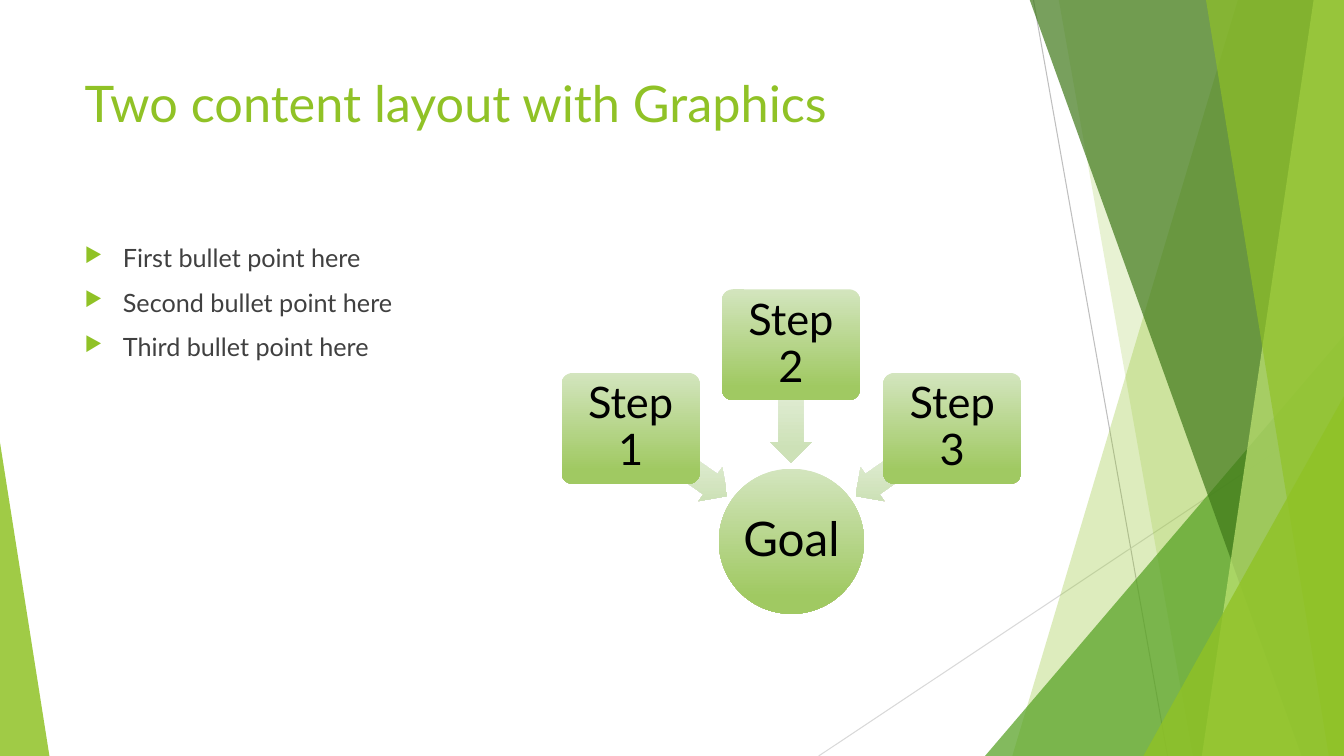
import math
from dataclasses import dataclass

import pptx
import pptx.dml.color
import pptx.enum.shapes
import pptx.enum.text
import pptx.oxml.ns
import pptx.util

PX = 9144  # EMU per px, 100 px to the inch
WIDTH, HEIGHT = 1333, 750
BAND_TOP = -1
LIME, BODY_GREY, BLACK = "90C226", "404040", "000000"
FONT = "Lato"
SHAPES = pptx.enum.shapes.MSO_SHAPE
ALIGN = pptx.enum.text.PP_ALIGN
ANCHOR = pptx.enum.text.MSO_ANCHOR


@dataclass
class Box:
    left: int
    top: int
    width: int
    height: int

    def emu(self) -> list[int]:
        return [v * PX for v in (self.left, self.top, self.width, self.height)]


@dataclass
class Hairline:
    start: tuple[int, int]
    end: tuple[int, int]
    color: str


@dataclass
class Band:
    """Sloping left edge, reaching to the right edge of the slide."""
    top_x: int
    bottom_x: int
    color: str
    opacity: int


@dataclass
class Wedge:
    """Right triangle standing on the bottom of the slide."""
    box: Box
    apex: int
    color: str
    opacity: int


@dataclass
class Step:
    label: str
    angle: int  # clockwise from the right of the goal


HAIRLINES = [
    Hairline((1025, 0), (1158, 750), "BFBFBF"),
    Hairline((1333, 403), (812, 750), "D9D9D9"),
]
FACETS = [
    Band(1228, 1004, LIME, 30),
    Band(1050, 1183, LIME, 20),
    Wedge(Box(977, 333, 356, 417), 1, "54A021", 72),
    Band(1021, 1291, "3F7819", 70),
    Band(1303, 1192, "C0E474", 70),
    Band(1196, 1318, LIME, 65),
    Wedge(Box(1134, 393, 199, 357), 1, LIME, 80),
    Wedge(Box(0, 439, 49, 311), 0, LIME, 85),
]
BULLETS = ["First bullet point here", "Second bullet point here", "Third bullet point here"]
STEPS = [Step("Step 1", 215), Step("Step 2", 270), Step("Step 3", 325)]
GOAL_BOX = Box(713, 465, 144, 144)
CARD_SIZE, CARD_RADIUS = (137, 110), 195
ARROW_SIZE, ARROW_RADIUS = (117, 41), 136
NODE_COLORS, ARROW_COLORS = ("D3E5BE", "A0C962"), ("F2F7ED", "CDE1B7")


def rgb(color: str) -> pptx.dml.color.RGBColor:
    return pptx.dml.color.RGBColor.from_string(color)


def apply(target, **formats) -> None:
    for name, value in formats.items():
        setattr(target, name, value)


def append_xml(parent, tag: str, **attributes: str):
    child = parent.makeelement(pptx.oxml.ns.qn(tag), attributes)
    parent.append(child)
    return child


def set_frame(frame, anchor, inset_x: int, inset_y: int) -> None:
    apply(frame, word_wrap=True, vertical_anchor=anchor,
          margin_left=inset_x * PX, margin_right=inset_x * PX,
          margin_top=inset_y * PX, margin_bottom=inset_y * PX)


def write(paragraph, text: str, size: int, color: str, **formats) -> None:
    apply(paragraph, **formats)
    run = paragraph.add_run()
    run.text = text
    apply(run.font, size=pptx.util.Pt(size), name=FONT)
    run.font.color.rgb = rgb(color)


def draw_hairline(slide, hairline: Hairline) -> None:
    ends = [v * PX for v in hairline.start + hairline.end]
    line = slide.shapes.add_connector(pptx.enum.shapes.MSO_CONNECTOR.STRAIGHT, *ends)
    line.line.width = pptx.util.Pt(0.75)
    line.line.color.rgb = rgb(hairline.color)
    append_xml(line.element.spPr, "a:effectLst")


def draw_facet(slide, facet: Band | Wedge) -> None:
    if isinstance(facet, Band):
        outline = slide.shapes.build_freeform(facet.top_x * PX, BAND_TOP * PX)
        corners = [(WIDTH, BAND_TOP), (WIDTH, HEIGHT), (facet.bottom_x, HEIGHT)]
        outline.add_line_segments([(x * PX, y * PX) for x, y in corners])
        shape = outline.convert_to_shape()
    else:
        shape = slide.shapes.add_shape(SHAPES.ISOSCELES_TRIANGLE, *facet.box.emu())
        shape.adjustments[0] = facet.apex
    shape.shadow.inherit = False
    shape.line.fill.background()
    shape.fill.solid()
    shape.fill.fore_color.rgb = rgb(facet.color)
    color = shape.element.spPr.find(".//" + pptx.oxml.ns.qn("a:srgbClr"))
    append_xml(color, "a:alpha", val=str(facet.opacity * 1000))


def draw_gradient_shape(slide, preset, box: Box, colors: tuple[str, str],
                        adjustments: tuple[float, ...] = ()):
    shape = slide.shapes.add_shape(preset, *box.emu())
    for index, value in enumerate(adjustments):
        shape.adjustments[index] = value
    shape.shadow.inherit = False
    shape.line.fill.background()
    shape.fill.gradient()
    shape.fill.gradient_angle = 270
    for stop, position, color in zip(shape.fill.gradient_stops, (0, 0.88), colors):
        stop.color.rgb = rgb(color)
        stop.position = position
    # Keep the gradient vertical on turned shapes
    shape.element.spPr.find(pptx.oxml.ns.qn("a:gradFill")).set("rotWithShape", "0")
    return shape


def around_goal(angle: int, radius: int, size: tuple[int, int]) -> Box:
    width, height = size
    x = GOAL_BOX.left + GOAL_BOX.width / 2 + radius * math.cos(math.radians(angle))
    y = GOAL_BOX.top + GOAL_BOX.height / 2 + radius * math.sin(math.radians(angle))
    return Box(round(x - width / 2), round(y - height / 2), width, height)


def label_node(node, text: str, size: int, inset_x: int) -> None:
    set_frame(node.text_frame, ANCHOR.MIDDLE, inset_x, 2)
    write(node.text_frame.paragraphs[0], text, size, BLACK,
          alignment=ALIGN.CENTER, line_spacing=0.9)


def draw_step(slide, step: Step) -> None:
    arrow = draw_gradient_shape(slide, SHAPES.LEFT_ARROW,
                                around_goal(step.angle, ARROW_RADIUS, ARROW_SIZE),
                                ARROW_COLORS, (0.6, 0.5))
    arrow.rotation = step.angle
    card = draw_gradient_shape(slide, SHAPES.ROUNDED_RECTANGLE,
                               around_goal(step.angle, CARD_RADIUS, CARD_SIZE),
                               NODE_COLORS, (0.1,))
    label_node(card, step.label, 31, 10)


def draw_bullets(slide, box: Box) -> None:
    frame = slide.shapes.add_textbox(*box.emu()).text_frame
    set_frame(frame, ANCHOR.TOP, 10, 5)
    for index, text in enumerate(BULLETS):
        paragraph = frame.add_paragraph() if index else frame.paragraphs[0]
        write(paragraph, text, 18, BODY_GREY, space_before=pptx.util.Pt(10))
        properties = paragraph._p.get_or_add_pPr()
        properties.set("marL", str(38 * PX))
        properties.set("indent", str(-38 * PX))
        append_xml(append_xml(properties, "a:buClr"), "a:srgbClr", val=LIME)
        append_xml(properties, "a:buSzPct", val="80000")
        append_xml(properties, "a:buChar", char="▶")


def main() -> None:
    deck = pptx.Presentation()
    apply(deck, slide_width=WIDTH * PX, slide_height=HEIGHT * PX)
    slide = deck.slides.add_slide(deck.slide_layouts[5])

    # Backdrop
    for hairline in HAIRLINES:
        draw_hairline(slide, hairline)
    for facet in FACETS:
        draw_facet(slide, facet)

    # Title and bullets
    title = slide.shapes.title
    apply(title, **dict(zip(("left", "top", "width", "height"), Box(74, 67, 940, 144).emu())))
    set_frame(title.text_frame, ANCHOR.TOP, 10, 5)
    write(title.text_frame.paragraphs[0], "Two content layout with Graphics", 36, LIME,
          alignment=ALIGN.LEFT)
    draw_bullets(slide, Box(74, 236, 458, 424))

    # Steps leading to the goal
    goal = draw_gradient_shape(slide, SHAPES.OVAL, GOAL_BOX, NODE_COLORS)
    label_node(goal, "Goal", 34, 2)
    for step in STEPS:
        draw_step(slide, step)

    deck.save("out.pptx")


if __name__ == "__main__":
    main()
